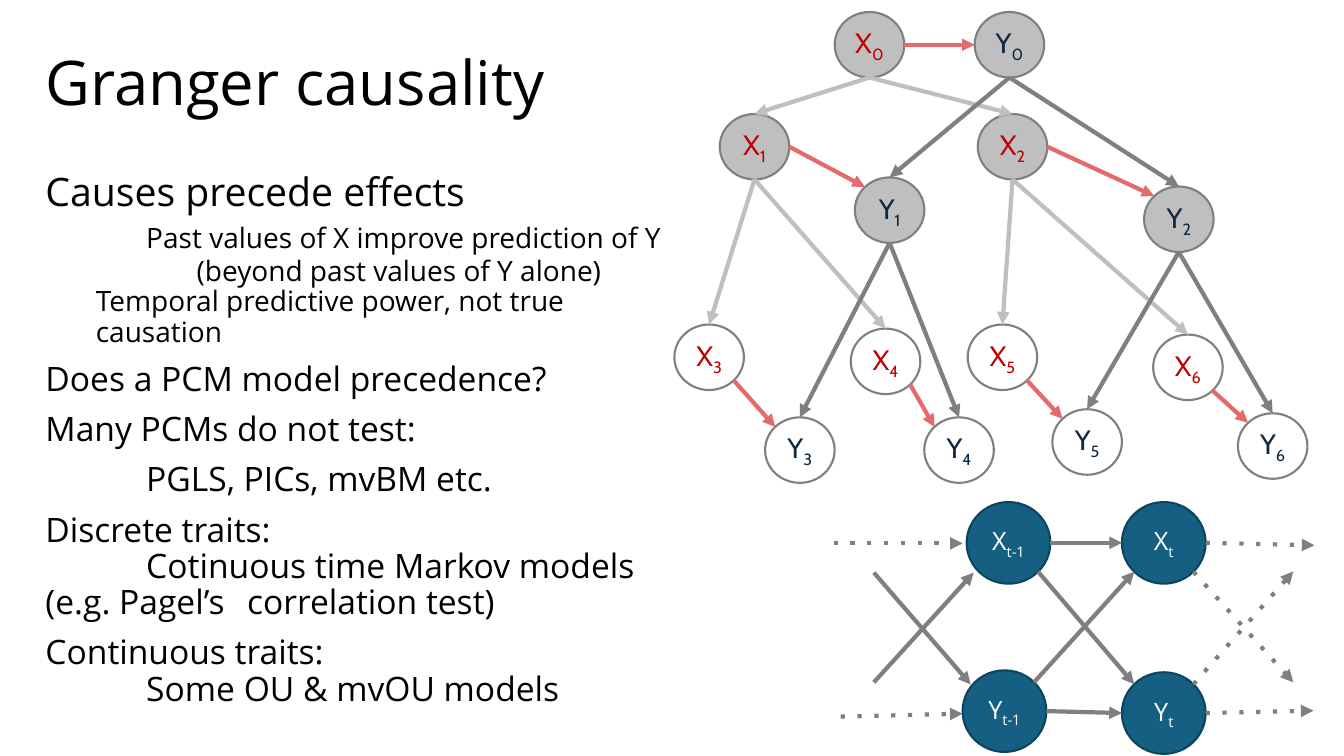
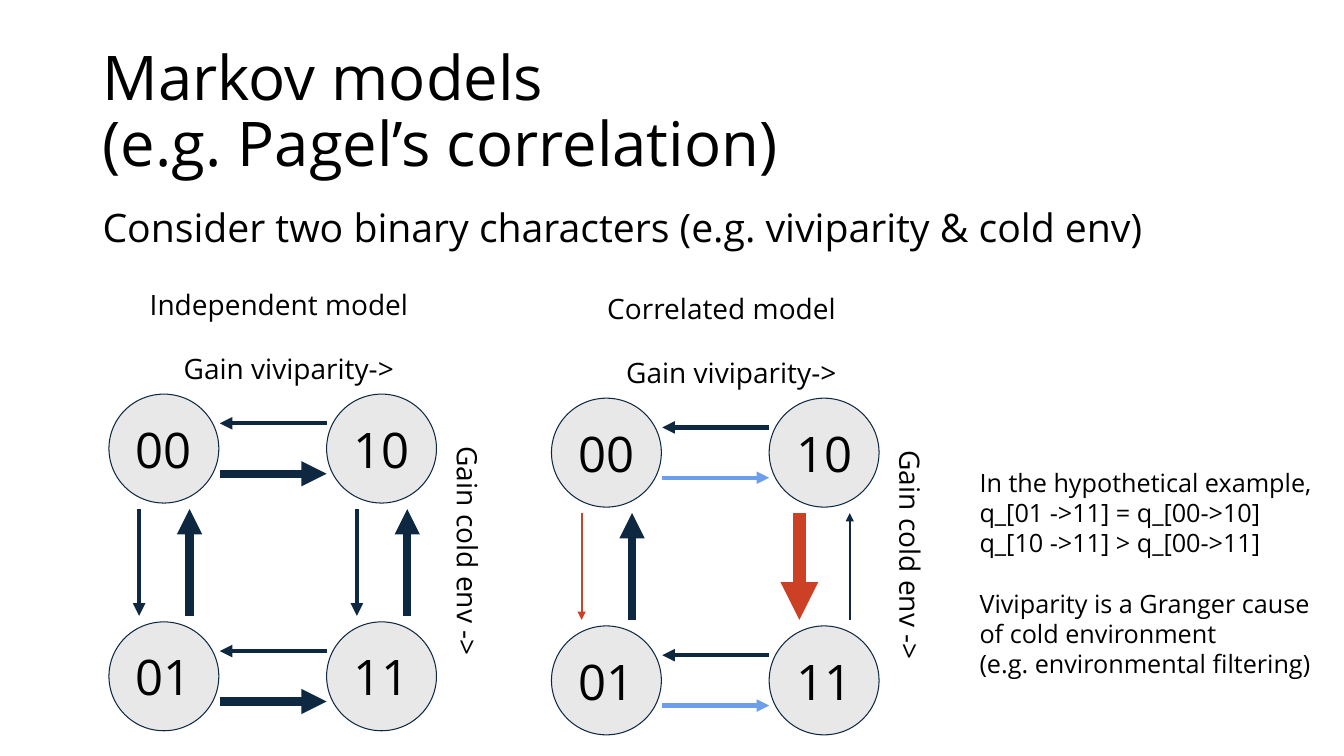
from dataclasses import dataclass
from enum import IntEnum
from math import cos, radians, sin

from lxml.etree import SubElement
from pptx import Presentation
from pptx.dml.color import RGBColor
from pptx.enum.shapes import MSO_CONNECTOR, MSO_SHAPE
from pptx.enum.text import MSO_ANCHOR, PP_ALIGN
from pptx.oxml.ns import qn
from pptx.presentation import Presentation as Deck
from pptx.slide import Slide
from pptx.text.text import TextFrame
from pptx.util import Pt

COLORS = {
    "black": "000000",
    "white": "FFFFFF",
    "navy": "0E2841",
    "cause": "C00000",
    "gray": "7F7F7F",
    "silver": "BFBFBF",
    "coral": "E46A6B",
    "teal": "156082",
    "deep_teal": "0C445E",
    "pale": "E8E8E8",
    "blue": "6D9EEB",
    "red": "CC4125",
}
BODY_FONT = "Open Sans"
NODE_FONT = "Cabin"
TITLE_WIDTH, TITLE_HEIGHT = 828, 104.4
TIGHT = 0.9

Point = tuple[float, float]


class Side(IntEnum):
    RIGHT = 0
    LOWER_RIGHT = 45
    BOTTOM = 90
    LOWER_LEFT = 135
    LEFT = 180
    UPPER_LEFT = 225
    TOP = 270
    UPPER_RIGHT = 315


@dataclass(frozen=True)
class NodeStyle:
    width: float
    height: float
    fill: str
    outline: str
    outline_width: float
    ink: str
    size: float
    font: str = BODY_FONT
    margin: float = 3.6


@dataclass(frozen=True)
class Node:
    label: str
    left: float
    top: float
    style: NodeStyle
    subscript: str = ""

    def at(self, side: Side) -> Point:
        angle = radians(side)
        return (
            self.left + self.style.width / 2 * (1 + cos(angle)),
            self.top + self.style.height / 2 * (1 + sin(angle)),
        )


@dataclass(frozen=True)
class Rate:
    color: str = "navy"
    width: float = 3


@dataclass(frozen=True)
class StateModel:
    title: str
    left: float
    top: float
    gain_viviparity: Rate
    lose_viviparity: Rate
    cold_rates: tuple[tuple[Rate, Rate], ...]


@dataclass(frozen=True)
class Line:
    text: str
    size: float
    before: float = 0
    left: float = 0
    indent: float = 0


def rgb(name: str) -> RGBColor:
    return RGBColor.from_string(COLORS[name])


def add_text(frame: TextFrame, text: str, *, size: float, color: str = "black",
             font: str = BODY_FONT, subscript: str = "", align: PP_ALIGN = PP_ALIGN.LEFT,
             spacing: float = 1.0, before: float = 0, left: float = 0, indent: float = 0) -> None:
    first = frame.paragraphs[0]
    para = frame.add_paragraph() if first.runs else first
    para.alignment = align
    para.line_spacing = spacing
    para.space_before = Pt(before)
    properties = para._p.get_or_add_pPr()
    properties.set("marL", str(Pt(left)))
    properties.set("indent", str(Pt(indent)))
    for content, baseline in ((text, 0), (subscript, -25000)):
        if not content:
            continue
        span = para.add_run()
        span.text = content
        span.font.size = Pt(size)
        span.font.name = font
        span.font.color.rgb = rgb(color)
        if baseline:
            span._r.get_or_add_rPr().set("baseline", str(baseline))


def set_margins(frame: TextFrame, horizontal: float, vertical: float) -> None:
    frame.margin_left = frame.margin_right = Pt(horizontal)
    frame.margin_top = frame.margin_bottom = Pt(vertical)


def add_page(deck: Deck, title_lines: list[str], left: float, top: float) -> Slide:
    page = deck.slides.add_slide(deck.slide_layouts[5])
    title = page.shapes.title
    title.left, title.top = Pt(left), Pt(top)
    title.width, title.height = Pt(TITLE_WIDTH), Pt(TITLE_HEIGHT)
    frame = title.text_frame
    frame.vertical_anchor = MSO_ANCHOR.MIDDLE
    set_margins(frame, 7.2, 3.6)
    for text in title_lines:
        add_text(frame, text, size=44, spacing=TIGHT)
    return page


def add_box(page: Slide, left: float, top: float, width: float, height: float,
            margin: float = 7.2, rotation: float = 0) -> TextFrame:
    box = page.shapes.add_textbox(Pt(left), Pt(top), Pt(width), Pt(height))
    box.rotation = rotation
    frame = box.text_frame
    frame.word_wrap = True
    set_margins(frame, 7.2, margin)
    return frame


def add_node(page: Slide, node: Node) -> None:
    style = node.style
    shape = page.shapes.add_shape(MSO_SHAPE.OVAL, Pt(node.left), Pt(node.top),
                                  Pt(style.width), Pt(style.height))
    shape.shadow.inherit = False
    shape.fill.solid()
    shape.fill.fore_color.rgb = rgb(style.fill)
    shape.line.color.rgb = rgb(style.outline)
    shape.line.width = Pt(style.outline_width)
    frame = shape.text_frame
    frame.word_wrap = False
    frame.vertical_anchor = MSO_ANCHOR.MIDDLE
    set_margins(frame, 7.2, style.margin)
    add_text(frame, node.label, subscript=node.subscript, size=style.size,
             color=style.ink, font=style.font, align=PP_ALIGN.CENTER)


def add_arrow(page: Slide, start: Point, end: Point, color: str = "gray",
              width: float = 3, dotted: bool = False) -> None:
    arrow = page.shapes.add_connector(MSO_CONNECTOR.STRAIGHT,
                                      *(Pt(value) for value in (*start, *end)))
    arrow.line.color.rgb = rgb(color)
    arrow.line.width = Pt(width)
    properties = arrow.element.spPr
    outline = properties.find(qn("a:ln"))
    if dotted:
        SubElement(outline, qn("a:prstDash"), val="dot")
    SubElement(outline, qn("a:tailEnd"), type="triangle")
    SubElement(properties, qn("a:effectLst"))


def draw_trees(page: Slide) -> None:
    places = {
        "X": [(596.2, 8.6), (514.1, 81.4), (698.4, 81.4), (481.7, 231.8),
              (607.7, 234.7), (691.2, 231.8), (823.7, 239)],
        "Y": [(696.2, 8.6), (610.6, 126.7), (817.2, 133.2), (546.5, 298.1),
              (660.2, 298.1), (751.7, 292.3), (884.2, 295.2)],
    }
    trees: dict[str, list[Node]] = {}
    for label, ink, branch in (("X", "cause", "silver"), ("Y", "navy", "gray")):
        nodes = []
        for index, (left, top) in enumerate(places[label]):
            fill = "silver" if index < 3 else "white"
            style = NodeStyle(49.7, 46.8, fill, "gray", 1.5, ink, 20, NODE_FONT)
            nodes.append(Node(label, left, top, style, str(index)))
            add_node(page, nodes[-1])
        for index, child in enumerate(nodes[1:]):
            add_arrow(page, nodes[index // 2].at(Side.BOTTOM), child.at(Side.TOP), branch)
        trees[label] = nodes
    for index, (cause, effect) in enumerate(zip(trees["X"], trees["Y"])):
        start = Side.RIGHT if index < 3 else Side.LOWER_RIGHT
        end = Side.UPPER_LEFT if index else Side.LEFT
        add_arrow(page, cause.at(start), effect.at(end), "coral")


def draw_time_steps(page: Slide) -> None:
    style = NodeStyle(59.8, 58.3, "teal", "deep_teal", 1.5, "white", 18)
    x_before = Node("X", 690.5, 358.6, style, "t-1")
    y_before = Node("Y", 687.6, 478.8, style, "t-1")
    x_now = Node("X", 801.4, 358.6, style, "t")
    y_now = Node("Y", 801.4, 480.2, style, "t")
    for node in (x_before, y_before, x_now, y_now):
        add_node(page, node)
    solid = [
        (x_before.at(Side.RIGHT), x_now.at(Side.LEFT)),
        (x_before.at(Side.LOWER_RIGHT), y_now.at(Side.UPPER_LEFT)),
        (y_before.at(Side.RIGHT), y_now.at(Side.LEFT)),
        (y_before.at(Side.UPPER_RIGHT), x_now.at(Side.LOWER_LEFT)),
        ((624.2, 409), (693.4, 488.9)),
        ((624.2, 487.4), (695.5, 409)),
    ]
    dotted = [
        ((595.4, 388.1), (687.6, 388.1)),
        ((600.5, 511.9), (687.6, 509.8)),
        (x_now.at(Side.RIGHT), (938.9, 389.5)),
        (y_now.at(Side.RIGHT), (938.2, 507.6)),
        (x_now.at(Side.LOWER_RIGHT), (923.8, 487.4)),
        (y_now.at(Side.UPPER_RIGHT), (923.8, 408.2)),
    ]
    for arrows, is_dotted in ((solid, False), (dotted, True)):
        for start, end in arrows:
            add_arrow(page, start, end, dotted=is_dotted)


def draw_state_model(page: Slide, model: StateModel) -> None:
    style = NodeStyle(78.5, 77.8, "pale", "navy", 0.75, "black", 35, margin=7.2)
    column_step, row_step = 155.5, 162.7
    for row in range(2):
        top = model.top + row * row_step
        for column in range(2):
            add_node(page, Node(f"{column}{row}", model.left + column * column_step, top, style))
        near, far = model.left + 79.2, model.left + column_step
        gain, lose = model.gain_viviparity, model.lose_viviparity
        add_arrow(page, (near, top + 56.9), (far, top + 56.9), gain.color, gain.width)
        add_arrow(page, (far, top + 20.9), (near, top + 20.9), lose.color, lose.width)
    upper, lower = model.top + 82.1, model.top + 158.4
    for column, (gain, lose) in enumerate(model.cold_rates):
        left = model.left + column * column_step
        add_arrow(page, (left + 21.6, upper), (left + 21.6, lower), gain.color, gain.width)
        add_arrow(page, (left + 57.6, lower), (left + 57.6, upper), lose.color, lose.width)
    for text, across, down, rotation in (
        (model.title, -16, -83.2, 0),
        ("Gain viviparity->", -9, -37.6, 0),
        ("Gain cold env ->", 118.8, 92.6, 90),
    ):
        frame = add_box(page, model.left + across, model.top + down, 275, 38.9, rotation=rotation)
        add_text(frame, text, size=20, align=PP_ALIGN.CENTER)


def build_granger(deck: Deck) -> None:
    page = add_page(deck, ["Granger causality"], 25.2, 8.6)
    frame = add_box(page, 25.4, 119.5, 468, 342.7, margin=3.6)
    for line in (
        Line("Causes precede effects", 28),
        Line("Past values of X improve prediction of Y", 20, before=7, left=72),
        Line("(beyond past values of Y alone)", 20, before=2, left=72, indent=36),
        Line("Temporal predictive power, not true causation", 20, left=36),
        Line("Does a PCM model precedence?", 24, before=10),
        Line("Many PCMs do not test:", 24, before=10),
        Line("PGLS, PICs, mvBM etc.", 24, before=10, left=72),
        Line("Discrete traits:", 24, before=10),
        Line("Cotinuous time Markov models", 24, left=72),
        Line("(e.g. Pagel’s\tcorrelation test)", 24),
        Line("Continuous traits:", 24, before=10),
        Line("Some OU & mvOU models", 24, left=72),
    ):
        add_text(frame, line.text, size=line.size, spacing=TIGHT,
                 before=line.before, left=line.left, indent=line.indent)
    draw_trees(page)
    draw_time_steps(page)


def build_markov(deck: Deck) -> None:
    page = add_page(deck, ["Markov models", "(e.g. Pagel’s correlation)"], 66.2, 28.8)
    frame = add_box(page, 66.2, 145.4, 859, 56.2, margin=3.6)
    add_text(frame, "Consider two binary characters (e.g. viviparity & cold env)",
             size=28, spacing=TIGHT)
    thin, thick = Rate(), Rate(width=6)
    for model in (
        StateModel("Independent model", 77.8, 281.5, thick, thin,
                   ((thin, thick), (thin, thick))),
        StateModel("Correlated model", 393.9, 284.4, Rate("blue"), thin,
                   ((Rate("red", 1.5), thick), (Rate("red", 9), Rate(width=1.5)))),
    ):
        draw_state_model(page, model)
    frame = add_box(page, 692.6, 326.3, 267, 169)
    for text, before in (
        ("In the hypothetical example,", 0),
        ("q_[01 ->11] = q_[00->10]", 0),
        ("q_[10 ->11] > q_[00->11]", 0),
        ("Viviparity is a Granger cause of cold environment", 21.8),
        ("(e.g. environmental filtering)", 0),
    ):
        add_text(frame, text, size=18, before=before)


def main() -> None:
    deck = Presentation()
    deck.slide_width, deck.slide_height = Pt(960), Pt(540)
    build_granger(deck)
    build_markov(deck)
    deck.save("out.pptx")


if __name__ == "__main__":
    main()
